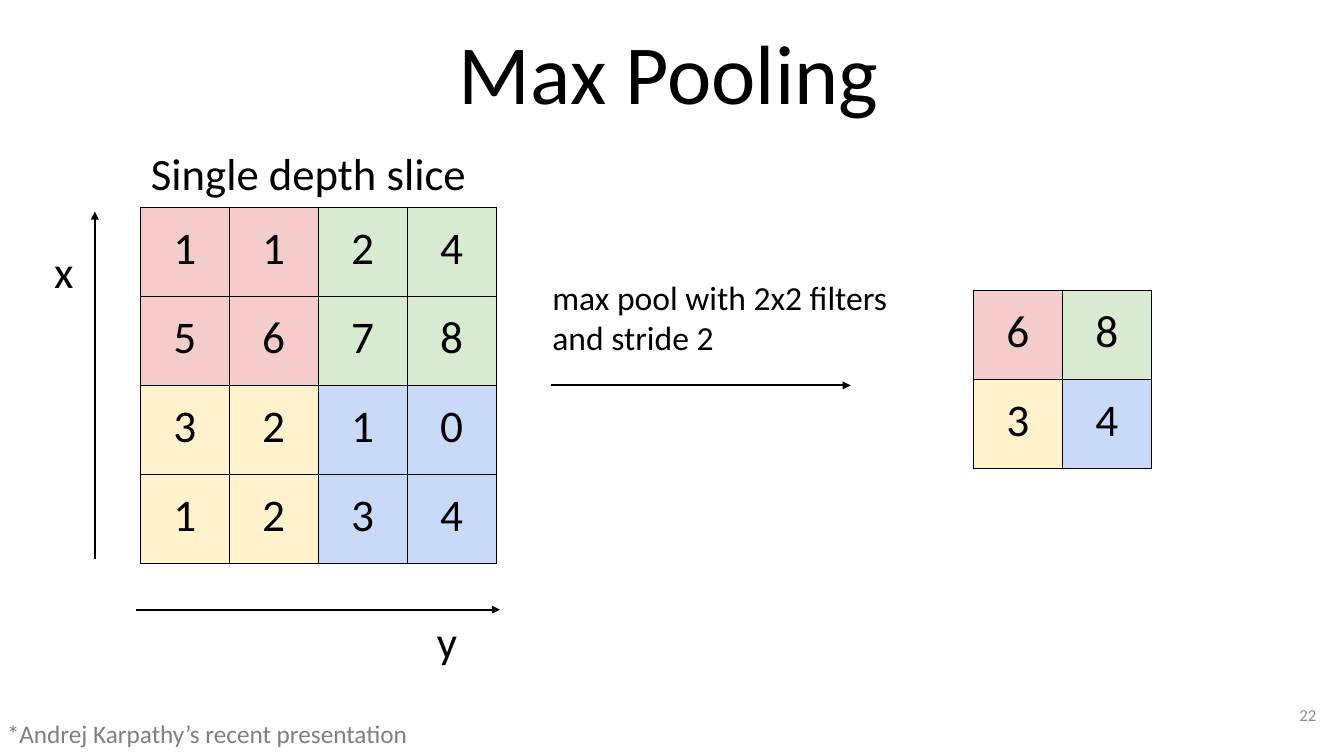
"""Build the Max Pooling slide."""
from dataclasses import dataclass

from lxml.etree import SubElement
from pptx import Presentation
from pptx.dml.color import RGBColor
from pptx.enum.shapes import MSO_CONNECTOR as Connector
from pptx.enum.text import MSO_ANCHOR as Anchor, MSO_AUTO_SIZE as AutoSize, PP_ALIGN as Align
from pptx.oxml.ns import qn
from pptx.slide import Slide
from pptx.text.text import TextFrame
from pptx.util import Pt

COLOURS = {
    "black": "000000",
    "note": "808080",
    "number": "8C8C8C",
    "red": "F4CCCC",
    "green": "D9EAD3",
    "yellow": "FFF2CC",
    "blue": "C9DAF8",
}
QUADRANTS = (("red", "green"), ("yellow", "blue"))
FONT = "Calibri"
CELL = 64.8
INSET = 10


@dataclass(frozen=True)
class Label:
    text: str
    left: float
    top: float
    width: float
    height: float
    size: float
    colour: str = "black"
    align: Align = Align.LEFT
    anchor: Anchor = Anchor.TOP
    inset: float = INSET


@dataclass(frozen=True)
class Arrow:
    start: tuple[float, float]
    end: tuple[float, float]


@dataclass(frozen=True)
class Grid:
    left: float
    top: float
    rows: tuple[str, ...]


TITLE = Label("Max Pooling", 71.3, 5, 831.6, 71.3, 61.2, align=Align.CENTER)
LABELS = (
    Label("Single depth slice", 100, 96.5, 280, 60.5, 32.6),
    Label("x", 29.5, 167.8, 41.8, 50.4, 32.6),
    Label("y", 308.2, 437, 41.8, 39.6, 32.6),
    Label("max pool with 2x2 filters and stride 2", 392.4, 191.5, 286.6, 77.8, 24.5),
    Label("*Andrej Karpathy’s recent presentation", -5, 513.4, 832.3, 37.4, 18.4, "note"),
    Label("22", 907.2, 499.7, 59, 42.5, 12.2, "number", Align.RIGHT, Anchor.MIDDLE, 7.2),
)
ARROWS = (
    Arrow((69.1, 407.5), (69.1, 154.1)),
    Arrow((99.4, 444.2), (364.3, 444.2)),
    Arrow((401.8, 280.8), (619.9, 280.8)),
)
GRIDS = (
    Grid(102.2, 151.2, ("1124", "5678", "3210", "1234")),
    Grid(709.2, 211.7, ("68", "34")),
)


def rgb(name: str) -> RGBColor:
    """Return the named colour."""
    return RGBColor.from_string(COLOURS[name])


def write(frame: TextFrame, text: str, size: float, colour: str, align: Align) -> None:
    """Fill a text frame with one formatted paragraph."""
    frame.text = text
    para = frame.paragraphs[0]
    para.alignment = align
    para.font.name = FONT
    para.font.size = Pt(size)
    para.font.color.rgb = rgb(colour)


def place(box, label: Label) -> None:
    """Position a box and set its text."""
    box.left, box.top = Pt(label.left), Pt(label.top)
    box.width, box.height = Pt(label.width), Pt(label.height)
    frame = box.text_frame
    frame.word_wrap = True
    frame.auto_size = AutoSize.NONE
    frame.vertical_anchor = label.anchor
    frame.margin_left = frame.margin_right = Pt(label.inset)
    frame.margin_top = frame.margin_bottom = Pt(label.inset)
    write(frame, label.text, label.size, label.colour, label.align)


def draw_arrow(page: Slide, arrow: Arrow) -> None:
    """Draw a straight black arrow."""
    points = [Pt(value) for value in (*arrow.start, *arrow.end)]
    connector = page.shapes.add_connector(Connector.STRAIGHT, *points)
    connector.line.color.rgb = rgb("black")
    connector.line.width = Pt(1.5)
    properties = connector.element.spPr
    SubElement(properties.find(qn("a:ln")), qn("a:tailEnd"), type="triangle")
    SubElement(properties, qn("a:effectLst"))


def add_borders(cell) -> None:
    """Give a table cell thin black borders."""
    properties = cell._tc.get_or_add_tcPr()
    for side in ("lnL", "lnR", "lnT", "lnB"):
        line = SubElement(properties, qn(f"a:{side}"), w=str(Pt(0.75)))
        fill = SubElement(line, qn("a:solidFill"))
        SubElement(fill, qn("a:srgbClr"), val=COLOURS["black"])


def draw_grid(page: Slide, grid: Grid) -> None:
    """Draw a square table of digits coloured by quadrant."""
    count = len(grid.rows)
    side = Pt(CELL * count)
    table = page.shapes.add_table(count, count, Pt(grid.left), Pt(grid.top), side, side).table
    table.first_row = table.horz_banding = False
    for row, digits in enumerate(grid.rows):
        table.rows[row].height = table.columns[row].width = Pt(CELL)
        for column, digit in enumerate(digits):
            cell = table.cell(row, column)
            add_borders(cell)
            cell.fill.solid()
            cell.fill.fore_color.rgb = rgb(QUADRANTS[row * 2 // count][column * 2 // count])
            cell.margin_left = cell.margin_right = Pt(INSET)
            cell.margin_top = cell.margin_bottom = Pt(INSET)
            write(cell.text_frame, digit, 33, "black", Align.CENTER)


def main() -> None:
    """Build and save the deck."""
    deck = Presentation()
    deck.slide_width, deck.slide_height = Pt(979.2), Pt(550.8)
    page = deck.slides.add_slide(deck.slide_layouts.get_by_name("Title Only"))
    place(page.shapes.title, TITLE)
    for grid in GRIDS:
        draw_grid(page, grid)
    for arrow in ARROWS:
        draw_arrow(page, arrow)
    for label in LABELS:
        place(page.shapes.add_textbox(0, 0, 0, 0), label)
    deck.save("out.pptx")


if __name__ == "__main__":
    main()
